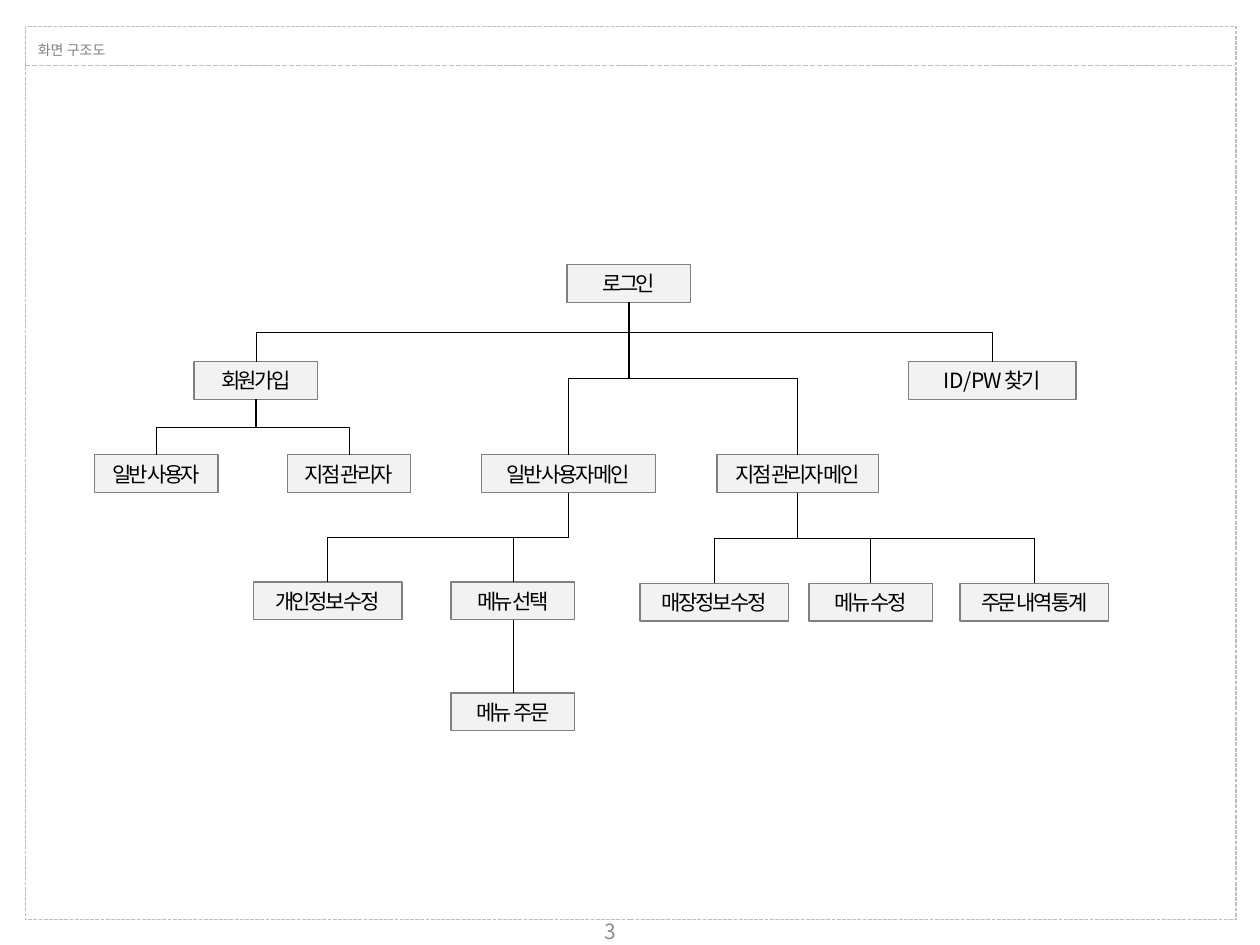
from pptx import Presentation
from pptx import util as u
from pptx.dml.color import RGBColor
from pptx.enum import dml, shapes, text
from pptx.oxml.xmlchemy import OxmlElement

FONT = "Noto Sans CJK KR"
HEADER = "화면 구조도"
PAGE = "3"
BOX_HEIGHT = 0.3
BOXES = {
    "login": ("로그인", 4.5, 2.1, 0.98),
    "join": ("회원가입", 1.54, 2.87, 0.98),
    "find": ("I D / P W 찾기", 7.21, 2.87, 1.33),
    "join_user": ("일반 사용자", 0.75, 3.61, 0.98),
    "join_manager": ("지점 관리자", 2.28, 3.61, 0.98),
    "user_main": ("일반 사용자 메인", 3.82, 3.61, 1.38),
    "manager_main": ("지점 관리자 메인", 5.69, 3.61, 1.28),
    "profile": ("개인정보 수정", 2.01, 4.62, 1.18),
    "menu_select": ("메뉴 선택", 3.58, 4.62, 0.98),
    "store_edit": ("매장정보 수정", 5.08, 4.63, 1.18),
    "menu_edit": ("메뉴 수정", 6.42, 4.63, 0.98),
    "statistics": ("주문 내역 통계", 7.62, 4.63, 1.18),
    "menu_order": ("메뉴  주문", 3.58, 5.5, 0.98),
}
CHILDREN = {
    "login": ["join", "find", "user_main", "manager_main"],
    "join": ["join_user", "join_manager"],
    "user_main": ["profile", "menu_select"],
    "manager_main": ["store_edit", "menu_edit", "statistics"],
    "menu_select": ["menu_order"],
}


def color(value):
    return RGBColor.from_string(value)


def apply(target, values):
    for name, value in values.items():
        setattr(target, name, value)


def place(shape, left, top, width, height):
    apply(shape, {"left": u.Inches(left), "top": u.Inches(top),
                  "width": u.Inches(width), "height": u.Inches(height)})


def style_line(shape, hex_color, width, dash=None):
    shape.line.color.rgb = color(hex_color)
    apply(shape.line, {"width": u.Pt(width), "dash_style": dash})


def write(shape, content, size, hex_color, frame_format, paragraph_format, spacing=None):
    frame = shape.text_frame
    apply(frame, frame_format)
    paragraph = frame.paragraphs[0]
    apply(paragraph, paragraph_format)
    run = paragraph.add_run()
    run.text = content
    apply(run.font, {"name": FONT, "size": u.Pt(size)})
    run.font.color.rgb = color(hex_color)
    properties = run.font._element
    east_asian = OxmlElement("a:ea")
    east_asian.set("typeface", FONT)
    properties.find("{*}latin").addnext(east_asian)
    if spacing is not None:
        properties.set("spc", str(round(spacing * 100)))


def add_line(slide, kind, left, top, right, bottom):
    line = slide.shapes.add_connector(kind, *map(u.Inches, (left, top, right, bottom)))
    line._element.spPr.append(OxmlElement("a:effectLst"))
    return line


def add_rectangle(slide, left, top, width, height):
    shape = slide.shapes.add_shape(
        shapes.MSO_SHAPE.RECTANGLE, *map(u.Inches, (left, top, width, height)))
    shape.shadow.inherit = False
    return shape


def add_frame(slide):
    frame = add_rectangle(slide, 0.2, 0.21, 9.61, 7.09)
    frame.fill.background()
    style_line(frame, "C0C0C0", 0.75, dml.MSO_LINE.SQUARE_DOT)
    title = slide.shapes.title
    place(title, 0.2, 0.21, 0.76, 0.28)
    write(title, HEADER, 8, "808080",
          {"word_wrap": False, "vertical_anchor": text.MSO_ANCHOR.TOP,
           "auto_size": text.MSO_AUTO_SIZE.SHAPE_TO_FIT_TEXT},
          {"alignment": text.PP_ALIGN.LEFT, "line_spacing": 1.5})
    rule = add_line(slide, shapes.MSO_CONNECTOR.STRAIGHT, 0.2, 0.52, 9.8, 0.52)
    style_line(rule, "BFBFBF", 1, dml.MSO_LINE.SQUARE_DOT)


def add_box(slide, content, left, top, width):
    box = add_rectangle(slide, left, top, width, BOX_HEIGHT)
    box.fill.solid()
    box.fill.fore_color.rgb = color("F2F2F2")
    style_line(box, "808080", 0.75)
    write(box, content, 12, "000000", CENTERED_FRAME, CENTERED, spacing=-1.5)
    return box


def connect(slide, boxes, parent, child):
    _, left, top, width = BOXES[parent]
    start_x, start_y = left + width / 2, top + BOX_HEIGHT
    _, left, end_y, width = BOXES[child]
    end_x = left + width / 2
    span, drop = abs(end_x - start_x), end_y - start_y
    straight = span < 0.01
    kind = shapes.MSO_CONNECTOR.STRAIGHT if straight else shapes.MSO_CONNECTOR.ELBOW
    line = add_line(slide, kind, start_x, start_y, end_x, end_y)
    style_line(line, "000000", 0.25)
    line.begin_connect(boxes[parent], 2)
    line.end_connect(boxes[child], 0)
    if not straight:
        rightward = end_x > start_x
        place(line, (start_x + end_x - drop) / 2, (start_y + end_y - span) / 2, drop, span)
        apply(line._element.spPr.xfrm,
              {"rot": 270 if rightward else 90, "flipH": rightward, "flipV": False})


CENTERED_FRAME = {"word_wrap": True, "vertical_anchor": text.MSO_ANCHOR.MIDDLE}
CENTERED = {"alignment": text.PP_ALIGN.CENTER}


def main():
    presentation = Presentation()
    apply(presentation, {"slide_width": u.Inches(10), "slide_height": u.Inches(7.5)})
    slide = presentation.slides.add_slide(presentation.slide_layouts[5])
    add_frame(slide)
    number = slide.shapes.add_textbox(*map(u.Inches, (3.68, 7.19, 2.33, 0.4)))
    write(number, PAGE, 12, "8C8C8C", CENTERED_FRAME, CENTERED)
    boxes = {name: add_box(slide, *box) for name, box in BOXES.items()}
    for parent, children in CHILDREN.items():
        for child in children:
            connect(slide, boxes, parent, child)
    presentation.save("out.pptx")


if __name__ == "__main__":
    main()
